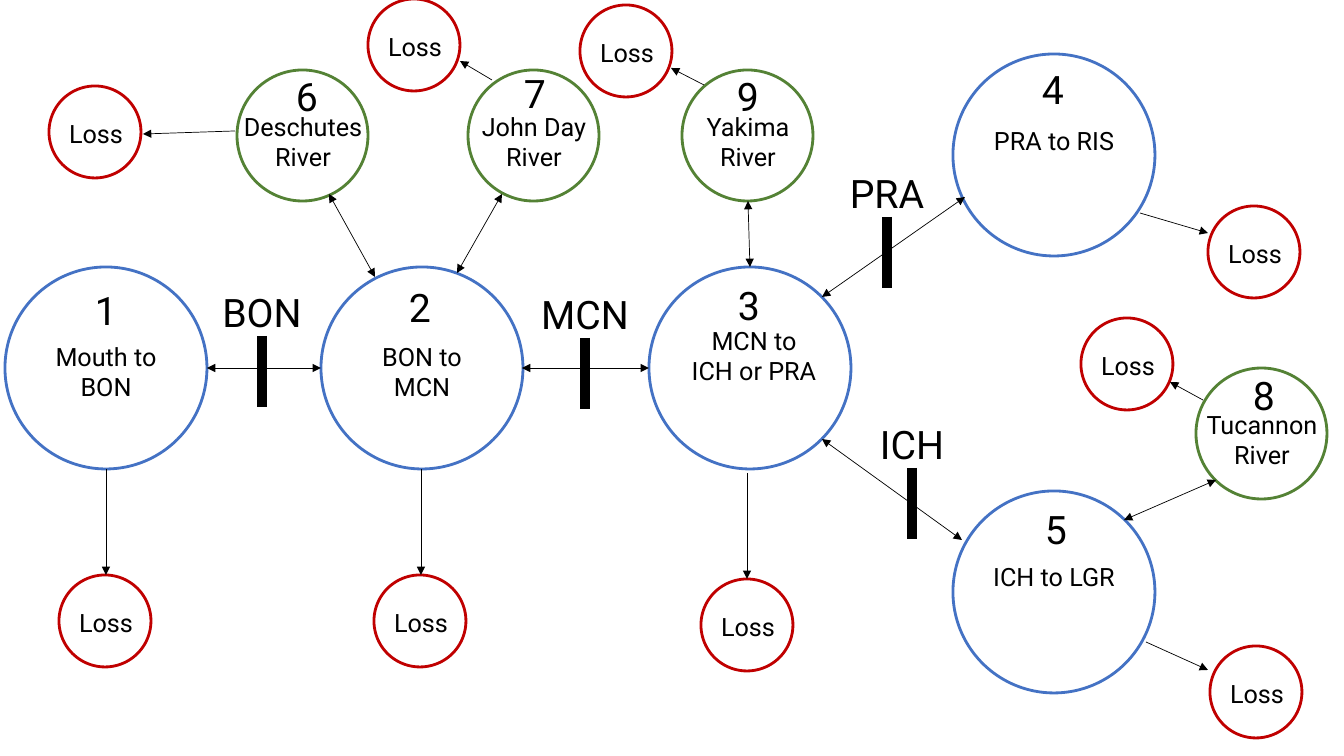
"""Draw the river reach model: reaches, tributaries, dams and losses."""
from lxml import etree
from pptx import Presentation
from pptx import util as u
from pptx.dml.color import RGBColor
from pptx.enum import shapes, text
from pptx.oxml import ns

SCALE = u.Inches(1) / 100.8
BLUE = RGBColor(0x44, 0x72, 0xC4)
GREEN = RGBColor(0x54, 0x82, 0x35)
RED = RGBColor(0xC0, 0x00, 0x00)
BLACK = RGBColor(0, 0, 0)

REACH_SIZE, TRIBUTARY_SIZE, LOSS_SIZE = 202, 131, 92
DAM_HEIGHT = 71
NAME_BOX, LOSS_BOX, TITLE_BOX = (146, 72), (146, 40), (220, 57)
NAME_POINTS, TITLE_POINTS = 18, 28

# number, name, circle corner, number offset, name offset
REACHES = [
    ("1", "Mouth to BON", (5, 267), (-9, 14), (28, 69)),
    ("2", "BON to MCN", (321, 267), (-11, 11), (28, 69)),
    ("3", "MCN to ICH or PRA", (649, 267), (-10, 9), (32, 53)),
    ("4", "PRA to RIS", (953, 54), (-10, 6), (28, 66)),
    ("5", "ICH to LGR", (953, 491), (-7, 9), (28, 65)),
]
TRIBUTARIES = [
    ("6", "Deschutes River", (237, 70), (-40, -3), (-7, 36)),
    ("7", "John Day\nRiver", (468, 70), (-43, -6), (-7, 36)),
    ("8", "Tucannon River", (1196, 368), (-42, -2), (-7, 36)),
    ("9", "Yakima River", (682, 70), (-44, -3), (-7, 36)),
]
# name, top of the bar
DAMS = [("BON", (262, 336)), ("MCN", (585, 338)),
        ("PRA", (887, 217)), ("ICH", (912, 468))]
# start, end
PASSAGES = [
    ((321, 368), (207, 368)), ((649, 368), (522, 368)),
    ((965, 197), (822, 297)), ((962, 540), (822, 439)),
    ((502, 194), (457, 273)), ((329, 194), (375, 277)),
    ((748, 201), (750, 267)), ((1216, 480), (1124, 520)),
]
# circle corner, arrow start, arrow end
LOSSES = [
    ((59, 575), (106, 469), (106, 575)),
    ((374, 575), (421, 469), (421, 575)),
    ((701, 579), (747, 473), (747, 579)),
    ((1210, 646), (1146, 642), (1208, 670)),
    ((1208, 206), (1140, 213), (1208, 233)),
    ((49, 86), (235, 131), (143, 134)),
    ((368, -1), (492, 80), (460, 61)),
    ((580, 5), (704, 85), (671, 68)),
    ((1081, 318), (1203, 400), (1170, 382)),
]


def emu(*pixels):
    """Turn pixel lengths into EMU."""
    return [round(pixel * SCALE) for pixel in pixels]


def shift(point, offset):
    """Move a point by an offset."""
    return point[0] + offset[0], point[1] + offset[1]


def assign(target, values):
    """Set every attribute given in a dict."""
    for name, value in values.items():
        setattr(target, name, value)


class Diagram:
    """Holds the style and the current page."""

    frame = {"word_wrap": True, "auto_size": text.MSO_AUTO_SIZE.SHAPE_TO_FIT_TEXT}
    font = {"name": "Roboto"}
    ring_width, arrow_width, bar_width = 2, 0.5, 7

    def __init__(self, page):
        """Start on a page."""
        self.page = page

    def circle(self, corner, size, color, parent=None):
        """Add an unfilled ring."""
        ring = (parent or self.page).shapes.add_shape(
            shapes.MSO_SHAPE.OVAL, *emu(*corner, size, size))
        ring.shadow.inherit = False
        ring.fill.background()
        ring.line.color.rgb = color
        ring.line.width = u.Pt(self.ring_width)

    def label(self, words, corner, size, points, parent=None):
        """Add centred text, one paragraph per line of words."""
        box = (parent or self.page).shapes.add_textbox(*emu(*corner, *size))
        assign(box.text_frame, self.frame)
        box.text_frame.text = words
        for para in box.text_frame.paragraphs:
            para.alignment = text.PP_ALIGN.CENTER
            for span in para.runs:
                assign(span.font, {**self.font, "size": u.Pt(points)})
                span.font.color.rgb = BLACK

    def line(self, start, end, width, heads=()):
        """Add a straight line with arrowheads at the named ends."""
        line = self.page.shapes.add_connector(
            shapes.MSO_CONNECTOR.STRAIGHT, *emu(*start, *end))
        line.line.color.rgb = BLACK
        line.line.width = u.Pt(width)
        outline = line.line._get_or_add_ln()
        for head in heads:
            etree.SubElement(outline, ns.qn("a:" + head), type="triangle")
        etree.SubElement(line._element.spPr, ns.qn("a:effectLst"))

    def place(self, node, size, color):
        """Add a numbered, named circle."""
        number, name, corner, number_offset, name_offset = node
        self.circle(corner, size, color)
        self.label(name, shift(corner, name_offset), NAME_BOX, NAME_POINTS)
        self.label(number, shift(corner, number_offset), TITLE_BOX, TITLE_POINTS)

    def dam(self, name, top):
        """Add a dam bar with its name above."""
        self.line(top, shift(top, (0, DAM_HEIGHT)), self.bar_width)
        self.label(name, shift(top, (-110, -53)), TITLE_BOX, TITLE_POINTS)

    def passage(self, start, end):
        """Add a two-way arrow."""
        self.line(start, end, self.arrow_width, ("headEnd", "tailEnd"))

    def loss(self, corner, start, end):
        """Add a grouped loss circle and the arrow into it."""
        group = self.page.shapes.add_group_shape()
        self.circle(corner, LOSS_SIZE, RED, group)
        self.label("Loss", shift(corner, (-26, 27)), LOSS_BOX, NAME_POINTS, group)
        self.line(start, end, self.arrow_width, ("tailEnd",))


def main():
    """Build and save the deck."""
    deck = Presentation()
    deck.slide_width, deck.slide_height = emu(1344, 756)
    diagram = Diagram(deck.slides.add_slide(deck.slide_layouts[6]))
    for reach in REACHES:
        diagram.place(reach, REACH_SIZE, BLUE)
    for tributary in TRIBUTARIES:
        diagram.place(tributary, TRIBUTARY_SIZE, GREEN)
    for dam in DAMS:
        diagram.dam(*dam)
    for passage in PASSAGES:
        diagram.passage(*passage)
    for loss in LOSSES:
        diagram.loss(*loss)
    deck.save("out.pptx")


main()
